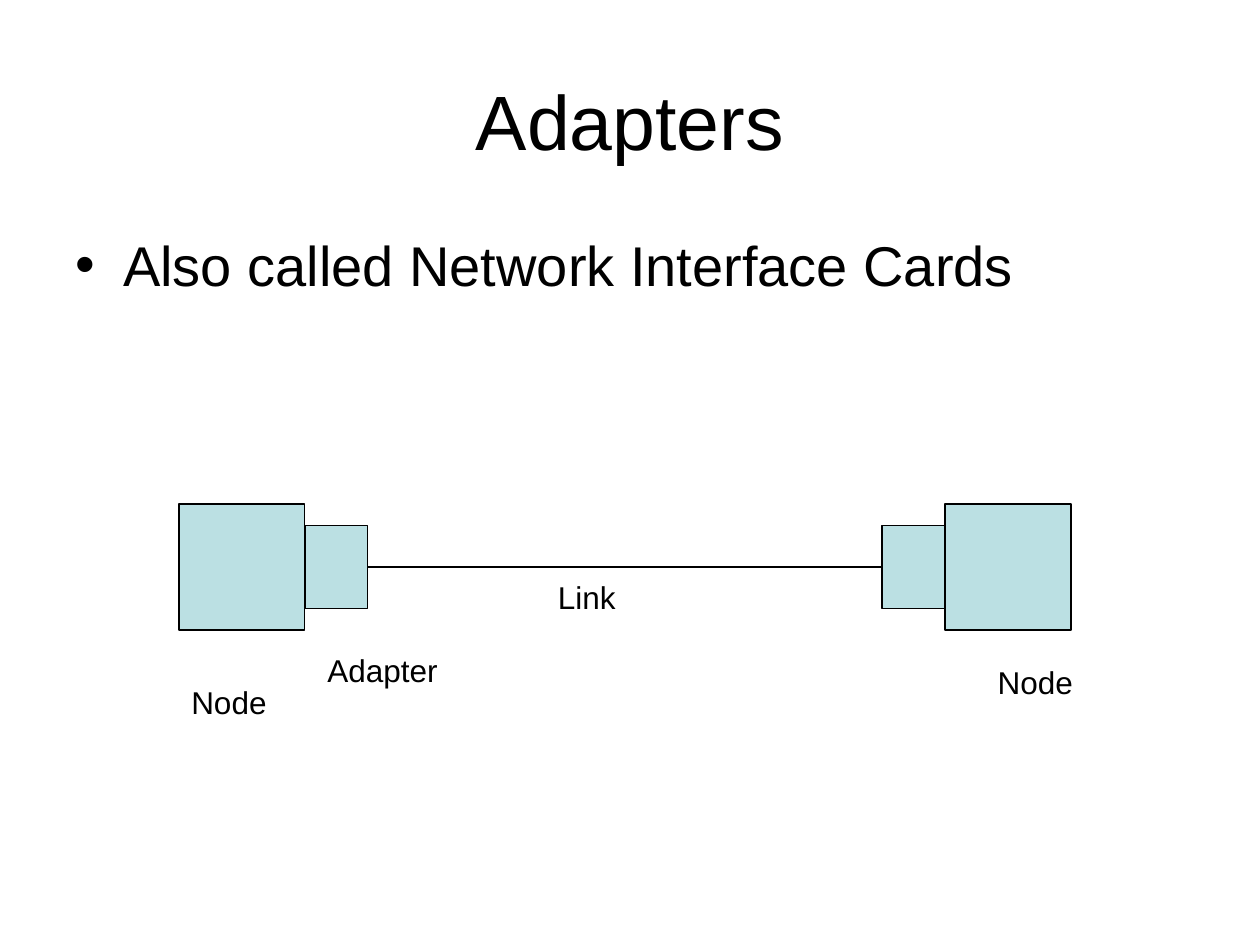
from pptx import Presentation
from pptx.dml.color import RGBColor
from pptx.enum.shapes import MSO_CONNECTOR, MSO_SHAPE
from pptx.enum.text import MSO_ANCHOR, PP_ALIGN
from pptx.oxml.ns import qn
from pptx.util import Inches, Pt
from lxml.etree import SubElement

BLACK = RGBColor(0x00, 0x00, 0x00)
PALE_BLUE = RGBColor(0xBB, 0xE0, 0xE3)
FONT = "Arial"
LINE_WIDTH = Pt(0.75)
NODE_SIZE = 1
ADAPTER_WIDTH, ADAPTER_HEIGHT = 0.5, 0.66


def add_text(slide, text, left, top, width, height, size=18,
             align=PP_ALIGN.LEFT, anchor=MSO_ANCHOR.TOP, margin_top=0.05,
             bullet=False):
    box = slide.shapes.add_textbox(
        Inches(left), Inches(top), Inches(width), Inches(height))
    frame = box.text_frame
    frame.word_wrap = True
    frame.vertical_anchor = anchor
    frame.margin_top = Inches(margin_top)
    paragraph = frame.paragraphs[0]
    paragraph.text = text
    paragraph.alignment = align
    if bullet:
        properties = paragraph._p.get_or_add_pPr()
        properties.set("marL", str(Inches(0.38)))
        properties.set("indent", str(Inches(-0.38)))
        SubElement(properties, qn("a:buFont"), typeface=FONT)
        SubElement(properties, qn("a:buChar"), char="•")
    font = paragraph.runs[0].font
    font.name = FONT
    font.size = Pt(size)
    font.color.rgb = BLACK
    return box


def add_block(slide, left, top, width, height):
    shape = slide.shapes.add_shape(
        MSO_SHAPE.RECTANGLE,
        Inches(left), Inches(top), Inches(width), Inches(height))
    shape.shadow.inherit = False
    shape.fill.solid()
    shape.fill.fore_color.rgb = PALE_BLUE
    shape.line.color.rgb = BLACK
    shape.line.width = LINE_WIDTH
    return shape


def add_node(slide, left, top, adapter_left):
    """Draw a node with its adapter centred on one side; return the adapter."""
    add_block(slide, left, top, NODE_SIZE, NODE_SIZE)
    adapter_top = top + (NODE_SIZE - ADAPTER_HEIGHT) / 2
    return add_block(slide, adapter_left, adapter_top,
                     ADAPTER_WIDTH, ADAPTER_HEIGHT)


def add_link(slide, start, end):
    link = slide.shapes.add_connector(MSO_CONNECTOR.STRAIGHT, 0, 0, 0, 0)
    link.begin_connect(start, 3)
    link.end_connect(end, 1)
    link.line.color.rgb = BLACK
    link.line.width = LINE_WIDTH
    SubElement(link._element.spPr, qn("a:effectLst"))


def add_network(slide, left, top, width):
    # Two nodes facing each other
    right_node = left + width - NODE_SIZE
    left_adapter = add_node(slide, left, top, left + NODE_SIZE)
    right_adapter = add_node(slide, right_node, top,
                             right_node - ADAPTER_WIDTH)
    add_link(slide, left_adapter, right_adapter)

    # Labels, offset from the corner of the diagram
    for text, x, y, label_width in (
        ("Node", 0, 1.37, 1),
        ("Adapter", 1.08, 1.12, 1.33),
        ("Link", 2.91, 0.54, 1),
        ("Node", 6.4, 1.21, 1.35),
    ):
        add_text(slide, text, left + x, top + y, label_width, 0.4)


def main():
    presentation = Presentation()
    presentation.slide_width = Inches(10)
    presentation.slide_height = Inches(7.5)
    slide = presentation.slides.add_slide(presentation.slide_layouts[6])

    # Title and body
    add_text(slide, "Adapters", 0.5, 0.3, 9, 1.25, size=44,
             align=PP_ALIGN.CENTER, anchor=MSO_ANCHOR.MIDDLE, margin_top=0.1)
    add_text(slide, "Also called Network Interface Cards", 0.5, 1.75, 9, 4.95,
             size=32, margin_top=0.08, bullet=True)

    # Diagram
    add_network(slide, left=1.42, top=4, width=7.08)
    presentation.save("out.pptx")


if __name__ == "__main__":
    main()
